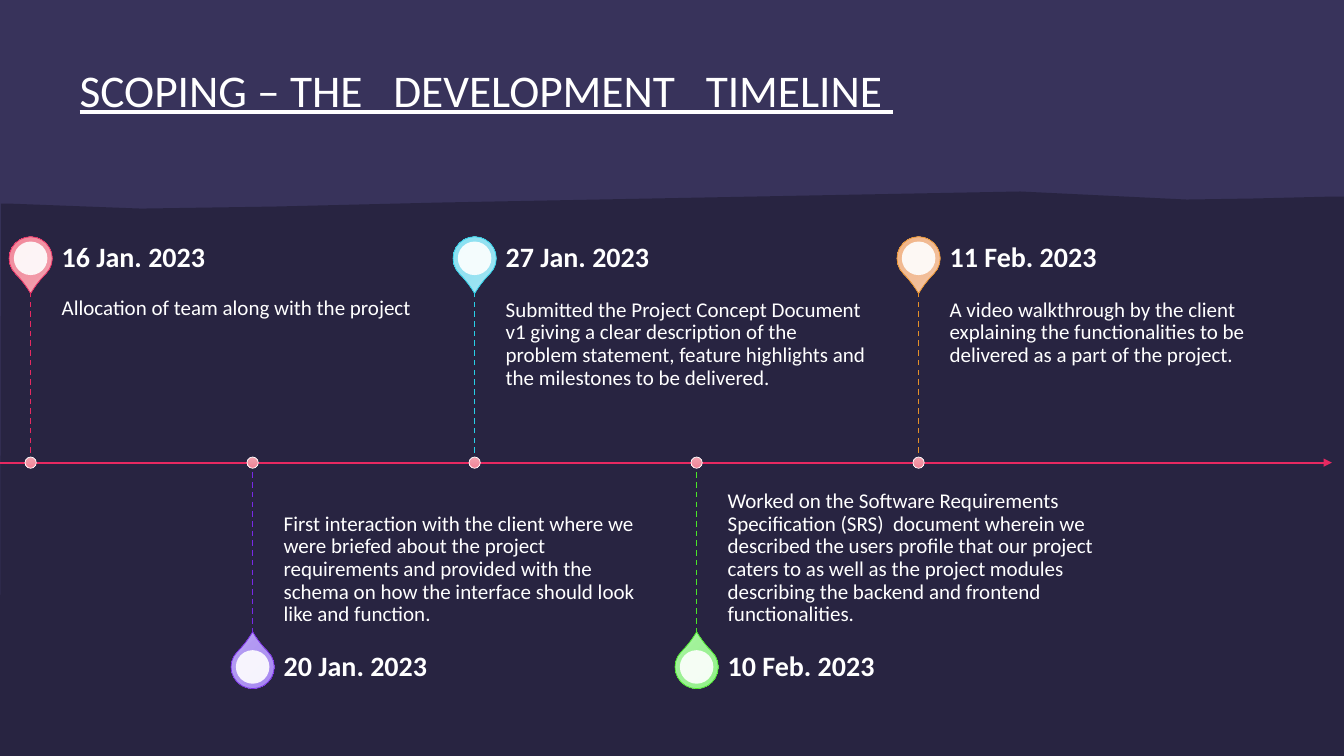
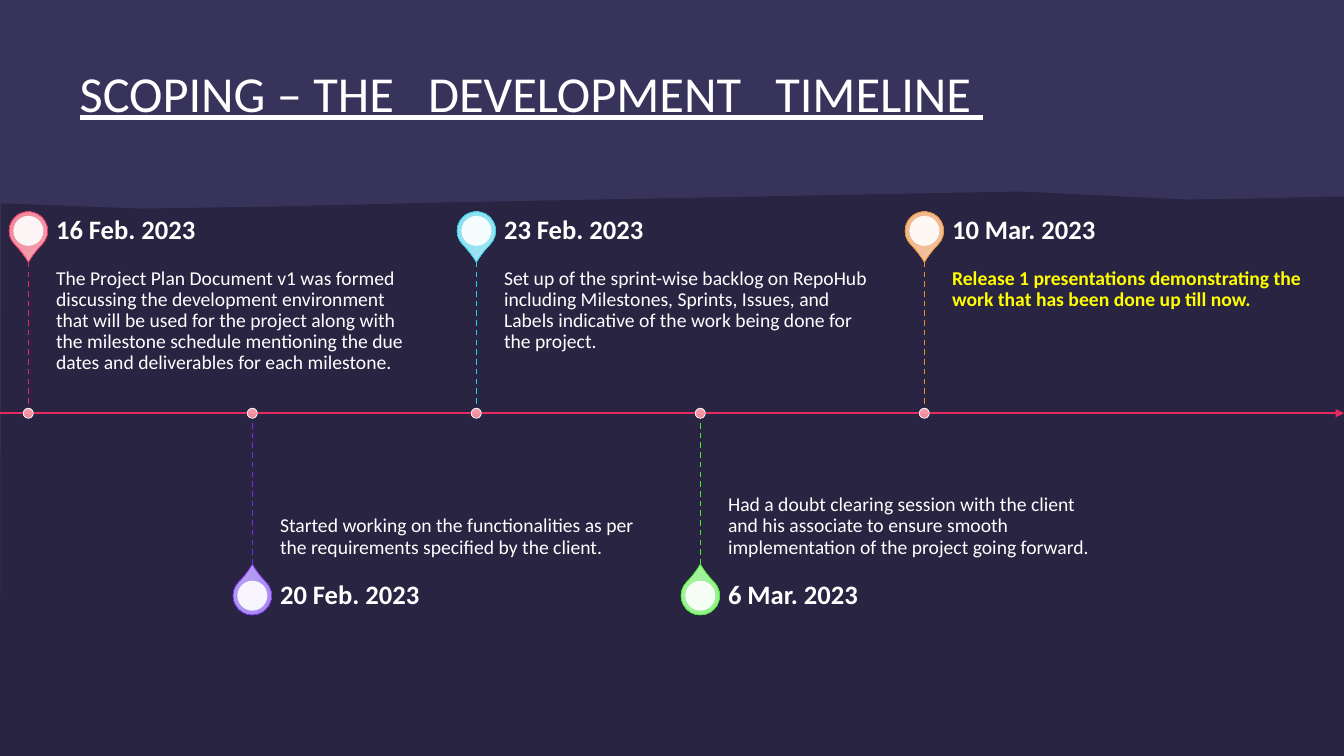
from copy import deepcopy
from dataclasses import dataclass

from lxml import etree
from pptx import Presentation
from pptx import util as u
from pptx.dml.color import RGBColor
from pptx.enum import dml, shapes, text
from pptx.oxml.ns import qn


@dataclass(frozen=True)
class Theme:
    font: str = "Calibri"
    header: str = "38335B"
    body: str = "282441"
    white: str = "FFFFFF"
    highlight: str = "FFFF00"
    axis: str = "E72961"
    dot: tuple = ("F4A3B1", "F194A4", "F38095")
    # Each pin: outline colour, then the three gradient stops
    pins: tuple = (
        ("E72961", ("F4A3B1", "F194A4", "F38095")),
        ("7829E7", ("BAA3F4", "AE94F1", "A280F3")),
        ("29CFE7", ("A3E6F4", "94E1F1", "80E0F3")),
        ("49E729", ("AAF4A3", "9CF194", "8AF380")),
        ("E79029", ("F4C5A3", "F1BB94", "F3B180")),
    )
    line_spacing: float = 0.9
    axis_width: float = 1.5
    stem_width: float = 1
    outline_width: float = 0.5


@dataclass(frozen=True)
class Box:
    left: float
    top: float
    width: float
    height: float

    def lengths(self):
        return [u.Inches(v) for v in (self.left, self.top, self.width, self.height)]


@dataclass(frozen=True)
class Milestone:
    date: str
    detail: str
    highlighted: bool = False


@dataclass(frozen=True)
class TimelineSlide:
    title_size: float
    date_size: float
    detail_size: float
    box: Box
    milestones: tuple


THEME = Theme()
WIDTH, HEIGHT = 13.33, 7.5
TITLE = "SCOPING – THE   DEVELOPMENT   TIMELINE "
TITLE_BOX = Box(0.79, 0.68, 11.73, 0.75)
BODY_EDGE = ((0.01, 2.02), (0.08, 2.02), (1.4, 2.07), (2.72, 2.05), (4.36, 2.01),
             (10.12, 1.9), (11.77, 1.98), (12.43, 1.97), (13.23, 1.95), (WIDTH, 1.95))

SLIDES = (
    TimelineSlide(32.4, 20, 15, Box(0, 2.26, 13.21, 4.66), (
        Milestone("16 Jan. 2023", "Allocation of team along with the project"),
        Milestone("20 Jan. 2023",
                  "First interaction with the client where we were briefed about the "
                  "project requirements and provided with the schema on how the "
                  "interface should look like and function."),
        Milestone("27 Jan. 2023",
                  "Submitted the Project Concept Document v1 giving a clear description "
                  "of the problem statement, feature highlights and the milestones to "
                  "be delivered."),
        Milestone("10 Feb. 2023",
                  "Worked on the Software Requirements Specification (SRS)  document "
                  "wherein we described the users profile that our project caters to as "
                  "well as the project modules describing the backend and frontend "
                  "functionalities."),
        Milestone("11 Feb. 2023",
                  "A video walkthrough by the client explaining the functionalities to "
                  "be delivered as a part of the project."),
    )),
    TimelineSlide(36, 19, 14, Box(0, 2.02, 13.33, 4.16), (
        Milestone("16 Feb. 2023",
                  "The Project Plan Document v1 was formed discussing the development "
                  "environment that will be used for the project along with the "
                  "milestone schedule mentioning the due dates and deliverables for "
                  "each milestone."),
        Milestone("20 Feb. 2023",
                  "Started working on the functionalities as per the requirements "
                  "specified by the client."),
        Milestone("23 Feb. 2023",
                  "Set up of the sprint-wise backlog on RepoHub including Milestones, "
                  "Sprints, Issues, and Labels indicative of the work being done for "
                  "the project."),
        Milestone("6 Mar. 2023",
                  "Had a doubt clearing session with the client and his associate to "
                  "ensure smooth implementation of the project going forward."),
        Milestone("10 Mar. 2023",
                  "Release 1 presentations demonstrating the work that has been done "
                  "up till now.", highlighted=True),
    )),
)


def rgb(value):
    return RGBColor.from_string(value)


def add_text(page, box, words, size, color=THEME.white, bold=False, underline=False,
             anchor=text.MSO_ANCHOR.TOP, insets=(0, 0, 0, 0)):
    """Place one paragraph; insets run left, top, right, bottom."""
    frame = page.shapes.add_textbox(*box.lengths()).text_frame
    frame.word_wrap = True
    frame.vertical_anchor = anchor
    (frame.margin_left, frame.margin_top,
     frame.margin_right, frame.margin_bottom) = [u.Inches(v) for v in insets]
    para = frame.paragraphs[0]
    para.text = words
    para.line_spacing = THEME.line_spacing
    font = para.font
    font.name, font.size, font.bold = THEME.font, u.Pt(size), bold
    font.color.rgb = rgb(color)
    if underline:
        para.runs[0].font.underline = True


def add_line(page, start, end, color, width, dashed=False, arrow=False):
    line = page.shapes.add_connector(
        shapes.MSO_CONNECTOR.STRAIGHT, *[u.Inches(v) for v in (*start, *end)])
    line.line.color.rgb = rgb(color)
    line.line.width = u.Pt(width)
    if dashed:
        line.line.dash_style = dml.MSO_LINE.DASH
    properties = line._element.spPr
    if arrow:
        etree.SubElement(properties.find(qn("a:ln")), qn("a:tailEnd"), type="triangle")
    etree.SubElement(properties, qn("a:effectLst"))


def add_centred(page, kind, x, y, size):
    box = Box(x - size / 2, y - size / 2, size, size)
    shape = page.shapes.add_shape(kind, *box.lengths())
    shape.shadow.inherit = False
    return shape


def paint_gradient(shape, colors, outline):
    """Fill from top to bottom with three even stops and a thin outline."""
    shape.fill.gradient()
    shape.fill.gradient_angle = 270
    stops = next(shape._element.spPr.iter(qn("a:gsLst")))
    stops.insert(1, deepcopy(stops[0]))
    for index, (stop, color) in enumerate(zip(shape.fill.gradient_stops, colors)):
        stop.position = index / 2
        stop.color.rgb = rgb(color)
    shape.line.color.rgb = rgb(outline)
    shape.line.width = u.Pt(THEME.outline_width)


def add_pin(page, x, y, unit, colors, upper):
    outline, stops = colors
    drop = add_centred(page, shapes.MSO_SHAPE.TEAR, x, y, 0.092 * unit)
    drop.adjustments[0] = 1.15
    drop.rotation = 135 if upper else 315
    paint_gradient(drop, stops, outline)
    eye = add_centred(page, shapes.MSO_SHAPE.OVAL, x, y, 0.0715 * unit)
    eye.fill.solid()
    eye.fill.fore_color.rgb = rgb(THEME.white)
    color = next(eye._element.spPr.iter(qn("a:srgbClr")))
    etree.SubElement(color, qn("a:alpha"), val="90000")
    eye.line.fill.background()


def add_milestone(page, spec_box, x, milestone, design, colors, upper):
    """Hang one dated note above or below the axis at x."""
    unit = spec_box.height
    axis = spec_box.top + unit / 2
    label, stem = 0.13 * unit, 0.37 * unit
    left, width = x + 0.066 * unit, spec_box.width / 3.6
    if upper:
        date_top, detail_top, stem_end = spec_box.top, axis - stem, axis - stem
        anchor, insets = text.MSO_ANCHOR.TOP, (0, 0.1, 0.1, 0.035 * unit)
    else:
        date_top, detail_top, stem_end = axis + stem, axis, axis + stem
        anchor, insets = text.MSO_ANCHOR.BOTTOM, (0, 0.035 * unit, 0, 0.1)

    add_pin(page, x, date_top + label / 2, unit, colors, upper)
    add_text(page, Box(left, detail_top, width, stem), milestone.detail,
             design.detail_size, bold=milestone.highlighted, anchor=anchor, insets=insets,
             color=THEME.highlight if milestone.highlighted else THEME.white)
    add_text(page, Box(left, date_top, width, label), milestone.date, design.date_size,
             bold=True, anchor=text.MSO_ANCHOR.MIDDLE, insets=(0, 0, 0.03 * unit, 0))
    add_line(page, (x, axis), (x, stem_end), colors[0], THEME.stem_width, dashed=True)
    dot = add_centred(page, shapes.MSO_SHAPE.OVAL, x, axis, 0.024 * unit)
    paint_gradient(dot, THEME.dot, THEME.white)


def add_timeline(page, design):
    box = design.box
    axis = box.top + box.height / 2
    add_line(page, (box.left, axis), (box.left + box.width, axis),
             THEME.axis, THEME.axis_width, arrow=True)
    first = box.left + 0.09 + 0.046 * box.height
    pitch = box.width / 6
    for index, (milestone, colors) in enumerate(zip(design.milestones, THEME.pins)):
        add_milestone(page, box, first + index * pitch, milestone, design, colors,
                      upper=index % 2 == 0)


def add_backdrop(page):
    """Light header over a dark body with an uneven top edge."""
    page.background.fill.solid()
    page.background.fill.fore_color.rgb = rgb(THEME.header)
    outline = page.shapes.build_freeform(0, u.Inches(HEIGHT))
    points = (*BODY_EDGE, (WIDTH, HEIGHT))
    outline.add_line_segments([(u.Inches(x), u.Inches(y)) for x, y in points], close=True)
    body = outline.convert_to_shape()
    body.shadow.inherit = False
    body.fill.solid()
    body.fill.fore_color.rgb = rgb(THEME.body)
    body.line.fill.background()


def add_timeline_slide(deck, design):
    page = deck.slides.add_slide(deck.slide_layouts[6])
    add_backdrop(page)
    add_text(page, TITLE_BOX, TITLE, design.title_size, underline=True)
    add_timeline(page, design)


def main():
    deck = Presentation()
    deck.slide_width, deck.slide_height = u.Inches(WIDTH), u.Inches(HEIGHT)
    for design in SLIDES:
        add_timeline_slide(deck, design)
    deck.save("out.pptx")


if __name__ == "__main__":
    main()
